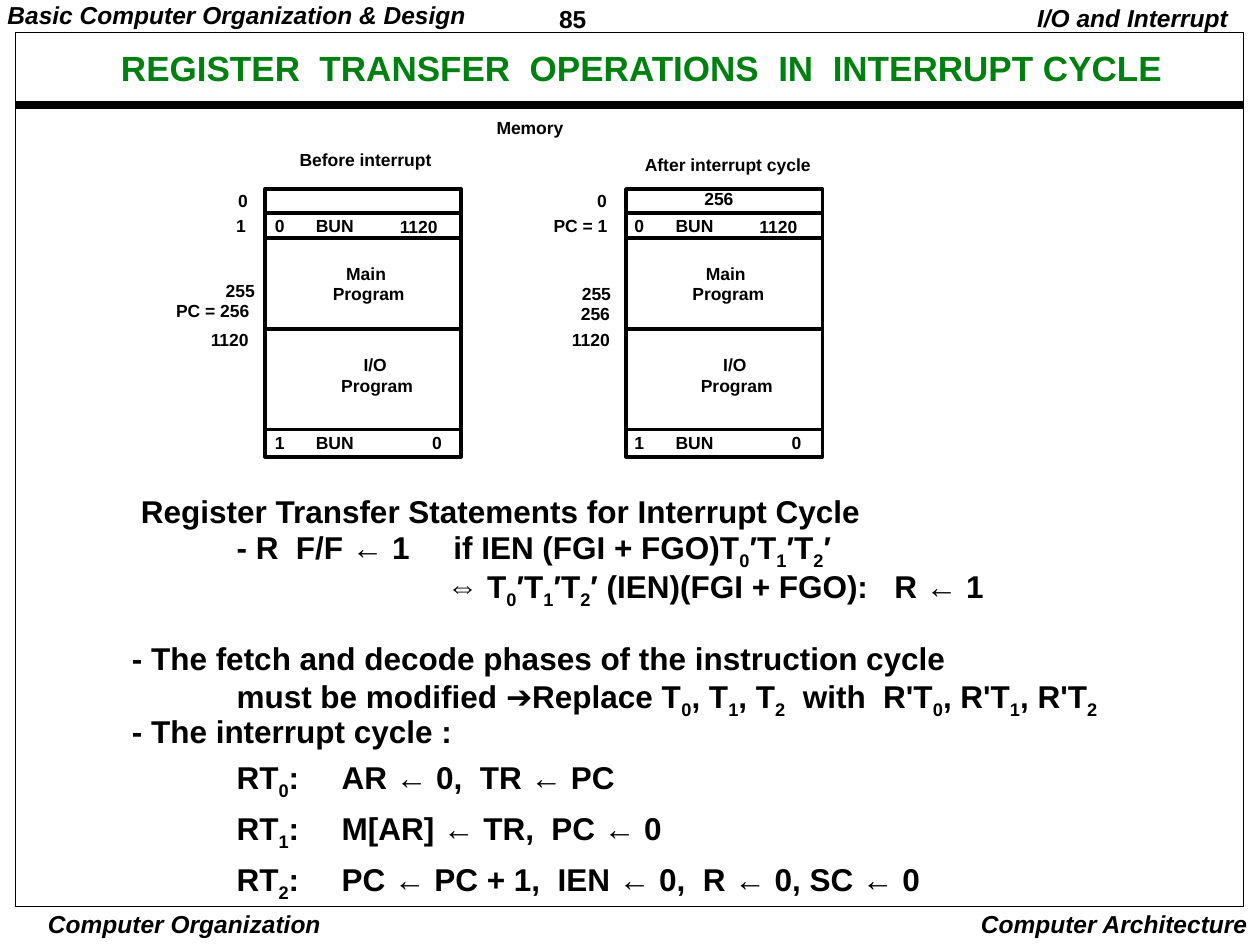
from dataclasses import dataclass

from lxml.etree import SubElement
from pptx import Presentation
from pptx.dml.color import RGBColor
from pptx.enum.shapes import MSO_CONNECTOR as Connector, MSO_SHAPE as Shape
from pptx.enum.text import MSO_ANCHOR as Anchor, MSO_AUTO_SIZE as AutoSize, PP_ALIGN as Align
from pptx.oxml.ns import qn
from pptx.util import Cm, Pt


@dataclass(frozen=True)
class Theme:
    font: str = "Arial"
    ink: RGBColor = RGBColor(0, 0, 0)
    green: RGBColor = RGBColor(0x00, 0x80, 0x11)
    title: int = 20
    body: int = 18
    margin: int = 14
    label: int = 10


theme = Theme()


def write(holder, text, size=theme.label, color=theme.ink, italic=False, align=Align.LEFT,
          spacing=0.9, before=0, indent=0, tabs=(), inset=(0.25, 0.13),
          anchor=Anchor.TOP, wrap=False):
    """Add one paragraph to holder; an underscore makes the next character a subscript."""
    frame = holder.text_frame
    frame.auto_size = AutoSize.NONE
    frame.word_wrap = wrap
    frame.vertical_anchor = anchor
    frame.margin_left = frame.margin_right = Cm(inset[0])
    frame.margin_top = frame.margin_bottom = Cm(inset[1])
    paragraph = frame.add_paragraph() if frame.text else frame.paragraphs[0]
    properties = paragraph._p.get_or_add_pPr()
    if indent:
        properties.set("marL", str(Cm(indent)))
    if tabs:
        stops = SubElement(properties, qn("a:tabLst"))
        for stop in tabs:
            SubElement(stops, qn("a:tab"), pos=str(Cm(stop)), algn="l")
    paragraph.alignment = align
    paragraph.line_spacing = spacing
    paragraph.space_before = Pt(before)
    paragraph.space_after = Pt(0)

    first, *rest = text.split("_")
    pieces = [(first, False)]
    for part in rest:
        pieces += [(part[0], True), (part[1:], False)]
    for piece, subscript in pieces:
        if not piece:
            continue
        run = paragraph.add_run()
        run.text = piece
        run.font.name = theme.font
        run.font.size = Pt(size)
        run.font.bold = True
        run.font.italic = italic
        run.font.color.rgb = color
        if subscript:
            run.font._element.set("baseline", "-25000")


def draw_rule(left, right, y, weight):
    rule = slide.shapes.add_connector(Connector.STRAIGHT, Cm(left), Cm(y), Cm(right), Cm(y))
    rule.line.color.rgb = theme.ink
    rule.line.width = Pt(weight)
    SubElement(rule._element.spPr, qn("a:effectLst"))


deck = Presentation()
deck.slide_width, deck.slide_height = Cm(25.4), Cm(19.05)
slide = deck.slides.add_slide(deck.slide_layouts[5])

# Page frame, rule and memory outlines
memory_width, memory_lefts = 3.96, (5.34, 12.62)
outlines = [(0.32, 0.66, 24.74, 17.62, 0.5)]
outlines += [(left, 3.81, memory_width, 5.4, 2) for left in memory_lefts]
for *box, weight in outlines:
    outline = slide.shapes.add_shape(Shape.RECTANGLE, *map(Cm, box))
    outline.shadow.inherit = False
    outline.fill.background()
    outline.line.color.rgb = theme.ink
    outline.line.width = Pt(weight)
draw_rule(0.32, 25.06, 2.11, 4.5)
for left in memory_lefts:
    for y in (4.29, 4.8, 6.63, 8.66):
        draw_rule(left, left + memory_width, y, 2)

# Title
title = slide.shapes.title
title.left, title.top, title.width, title.height = map(Cm, (1.32, 0.72, 23.24, 1.37))
write(title, "REGISTER  TRANSFER  OPERATIONS  IN  INTERRUPT CYCLE", size=theme.title,
      color=theme.green, align=Align.CENTER, anchor=Anchor.MIDDLE, wrap=True)

# Page header and footer
margin_texts = [
    ("Basic Computer Organization & Design", (0, 0, 9.58, 0.69), Align.LEFT, 0.9, (0.15, 0.07)),
    ("85", (11.09, 0, 2.74, 0.74), Align.LEFT, 1.01, (0.18, 0.08)),
    ("I/O and Interrupt", (20.67, 0, 4.34, 0.79), Align.RIGHT, 0.9, (0.25, 0.13)),
    ("Computer Organization", (0.9, 18.3, 5.64, 0.66), Align.CENTER, 1, (0.08, 0.03)),
    ("Computer Architecture", (19.51, 18.2, 5.89, 0.84), Align.RIGHT, 1, (0.25, 0.13)),
]
for text, box, align, spacing, inset in margin_texts:
    write(slide.shapes.add_textbox(*map(Cm, box)), text, size=theme.margin,
          italic=text != "85", align=align, spacing=spacing, inset=inset)

# Memory labels: text, left, top, width
labels = [
    ("Memory", 9.76, 2.28, 1.85),
    ("Before interrupt", 5.79, 2.93, 3.2),
    ("After interrupt cycle", 12.75, 3.02, 3.84),
    ("0", 4.55, 3.75, 0.71),
    ("1", 4.51, 4.26, 0.71),
    ("255", 4.3, 5.56, 1.09),
    ("PC = 256", 3.3, 5.97, 1.98),
    ("1120", 4, 6.55, 1.3),
    ("0", 11.79, 3.75, 0.71),
    ("PC = 1", 10.91, 4.26, 1.6),
    ("255", 11.48, 5.63, 1.09),
    ("256", 11.46, 6.03, 1.12),
    ("1120", 11.28, 6.55, 1.3),
    ("256", 13.95, 3.71, 1.09),
]
# Contents common to both memories, placed from the memory's left text edge
contents = [
    ("0", 0, 4.26, 0.71),
    ("BUN", 0.83, 4.26, 1.27),
    ("1120", 2.52, 4.27, 1.3),
    ("Main", 1.44, 5.23, 1.3),
    ("Program", 1.17, 5.63, 1.96),
    ("I/O", 1.79, 7.06, 0.97),
    ("Program", 1.34, 7.47, 1.96),
    ("1", 0, 8.63, 0.71),
    ("BUN", 0.83, 8.63, 1.27),
    ("0", 3.17, 8.63, 0.71),
]
for edge in (5.29, 12.54):
    labels += [(text, edge + offset, top, width) for text, offset, top, width in contents]
for text, *box in labels:
    write(slide.shapes.add_textbox(*map(Cm, box), Cm(0.64)), text)

# Register transfer statements, in a text box so that the tab stops hold
statements = slide.shapes.add_textbox(*map(Cm, (2.48, 9.96, 19.91, 8.31)))
step = dict(spacing=1, before=4.5, tabs=(2.11, 4.23))
lines = [
    ("Register Transfer Statements for Interrupt Cycle", dict(spacing=0.85, indent=0.18)),
    ("\t- R  F/F ← 1\tif IEN (FGI + FGO)T_0′T_1′T_2′", dict(spacing=0.85, tabs=(2.11, 6.48))),
    ("\t⇔ T_0′T_1′T_2′ (IEN)(FGI + FGO):\tR ← 1", dict(spacing=0.96, tabs=(6.35, 15.37))),
    ("- The fetch and decode phases of the instruction cycle", dict(before=20.5)),
    ("must be modified ➔Replace T_0, T_1, T_2  with  R'T_0, R'T_1, R'T_2", dict(indent=2.11)),
    ("- The interrupt cycle :", {}),
    ("\tRT_0:\tAR ← 0,  TR ← PC", step),
    ("\tRT_1:\tM[AR] ← TR,  PC ← 0", step),
    ("\tRT_2:\tPC ← PC + 1,  IEN ← 0,  R ← 0, SC ← 0", step),
]
for text, look in lines:
    write(statements, text, size=theme.body, inset=(0.18, 0.08), **look)

deck.save("out.pptx")
